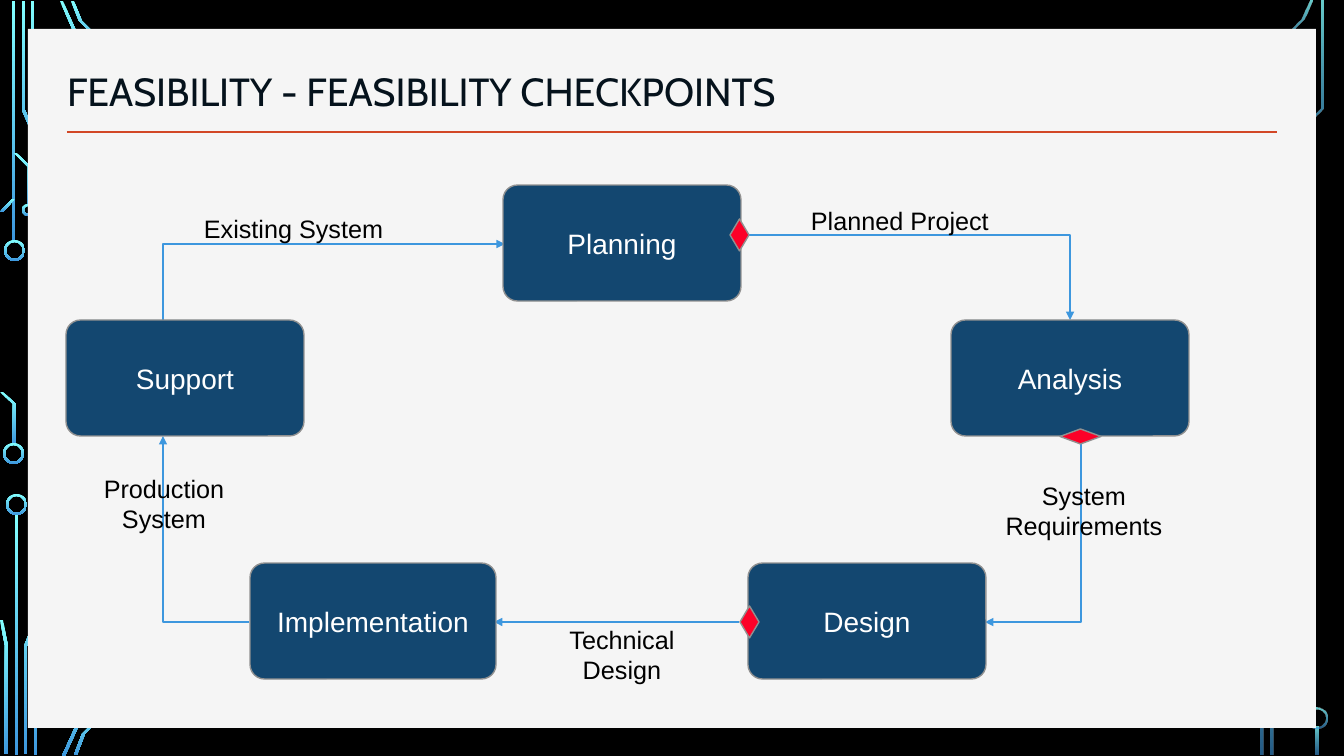
from dataclasses import dataclass

from lxml import etree
from pptx import Presentation
from pptx import util as u
from pptx.dml.color import RGBColor
from pptx.enum import shapes, text
from pptx.oxml import ns

SCALE = 914400 / 100.8  # EMU in one pixel
BODY_FONT = "Arial"
COLOURS = {
    "background": "000000", "panel": "F5F5F5", "rule": "D24726", "title": "05121C",
    "trace_top": "82FFFF", "trace_bottom": "3D97DE", "flow": "3D97DE",
    "phase": "134770", "border": "919191", "checkpoint": "FC0128",
    "label": "000000", "phase_text": "FFFFFF",
}
TRACE_WIDTH = 3
FADED_OPACITY = (80, 60)  # percent at the top and at the bottom
KIND = shapes.MSO_SHAPE
ALIGN = text.PP_ALIGN
Point = tuple[int, int]


@dataclass
class Box:
    """A rectangle in pixels."""
    left: int
    top: int
    width: int
    height: int

    def emu(self) -> list[u.Emu]:
        """Return left, top, width and height in EMU."""
        return [px(n) for n in (self.left, self.top, self.width, self.height)]


@dataclass
class Phase:
    """A named step of the life cycle."""
    name: str
    left: int
    top: int
    width: int = 238


@dataclass
class Flow:
    """An arrow between phases and the label beside it."""
    points: list[Point]
    lines: list[str]
    label: Box
    align: ALIGN = ALIGN.CENTER


@dataclass
class Trace:
    """A circuit line, given by its left edge."""
    points: list[Point]
    faded: bool = False


@dataclass
class Ring:
    """A round circuit end."""
    left: int
    top: int
    size: int = 21
    faded: bool = False


TRACES = [
    Trace([(12, 1), (12, 241)]),
    Trace([(22, 1), (22, 110), (60, 200)]),
    Trace([(31, 1), (31, 68), (70, 158)]),
    Trace([(60, 1), (74, 33), (74, 101)]),
    Trace([(71, 1), (79, 21), (116, 58)]),
    Trace([(12, 199), (0, 212)]),
    Trace([(0, 392), (13, 404), (13, 444)]),
    Trace([(14, 153), (28, 167), (28, 204)]),
    Trace([(15, 514), (15, 755)]),
    Trace([(62, 555), (24, 646), (24, 754)]),
    Trace([(0, 620), (5, 646), (5, 754)]),
    Trace([(73, 598), (34, 688), (34, 755)]),
    Trace([(77, 655), (77, 723), (62, 756)]),
    Trace([(118, 698), (82, 734), (74, 755)]),
    Trace([(1309, 1), (1301, 19), (1266, 55)], True),
    Trace([(1302, 628), (1271, 699), (1271, 755)], True),
    Trace([(1321, 1), (1321, 108), (1291, 139), (1291, 170)], True),
    Trace([(1292, 556), (1292, 588), (1261, 618), (1261, 755)], True),
    Trace([(1316, 727), (1316, 755)], True),
]
RINGS = [Ring(4, 240), Ring(3, 443), Ring(6, 494), Ring(22, 204, 12),
         Ring(1306, 708, faded=True)]
PHASES = [
    Phase("Planning", 503, 185), Phase("Support", 66, 320),
    Phase("Implementation", 250, 563, 246), Phase("Design", 748, 563),
    Phase("Analysis", 951, 320),
]
FLOWS = [
    Flow([(249, 622), (163, 622), (163, 436)], ["Production", "System"],
         Box(75, 468, 178, 71)),
    Flow([(739, 622), (494, 622)], ["Technical", "Design"], Box(541, 619, 162, 71)),
    Flow([(1081, 436), (1081, 622), (985, 622)], ["System", "Requirements"],
         Box(995, 475, 178, 71)),
    Flow([(163, 320), (163, 244), (505, 244)], ["Existing System"],
         Box(194, 208, 253, 40), ALIGN.LEFT),
    Flow([(739, 235), (1070, 235), (1070, 320)], ["Planned Project"],
         Box(801, 200, 251, 40), ALIGN.LEFT),
]
CHECKPOINTS = [Box(740, 606, 19, 32), Box(1060, 429, 41, 15), Box(730, 219, 19, 32)]


def px(pixels: int) -> u.Emu:
    """Turn pixels into EMU."""
    return u.Emu(round(pixels * SCALE))


def colour(name: str) -> RGBColor:
    """Look up a named colour."""
    return RGBColor.from_string(COLOURS[name])


def add_solid(slide, kind: KIND, box: Box, fill: str, border: str | None = None):
    """Add a flat preset shape with an optional thin border."""
    shape = slide.shapes.add_shape(kind, *box.emu())
    shape.shadow.inherit = False
    shape.fill.solid()
    shape.fill.fore_color.rgb = colour(fill)
    if border:
        shape.line.color.rgb = colour(border)
        shape.line.width = u.Pt(1)
    else:
        shape.line.fill.background()
    return shape


def add_path(slide, points: list[Point], close: bool):
    """Add a freeform through the points."""
    builder = slide.shapes.build_freeform(*points[0], scale=SCALE)
    builder.add_line_segments(points[1:], close=close)
    shape = builder.convert_to_shape()
    shape.shadow.inherit = False
    return shape


def add_run(paragraph, words: str, size: int, fill: str, font: str = BODY_FONT) -> None:
    """Add one formatted run."""
    run = paragraph.add_run()
    run.text = words
    run.font.size = u.Pt(size)
    run.font.name = font
    run.font.color.rgb = colour(fill)


def paint_circuit(shape, faded: bool) -> None:
    """Fill a circuit part from light at the top to blue at the bottom."""
    shape.shadow.inherit = False
    shape.line.fill.background()
    shape.fill.gradient()
    shape.fill.gradient_angle = 270
    for stop, name in zip(shape.fill.gradient_stops, ("trace_top", "trace_bottom")):
        stop.color.rgb = colour(name)
    if faded:
        stops = shape._element.spPr.iter(ns.qn("a:srgbClr"))
        for element, percent in zip(list(stops), FADED_OPACITY):
            etree.SubElement(element, ns.qn("a:alpha"), val=str(percent * 1000))


def add_circuit(slide) -> None:
    """Draw the circuit lines and rings around the panel."""
    for trace in TRACES:
        right_edge = [(x + TRACE_WIDTH, y) for x, y in reversed(trace.points)]
        paint_circuit(add_path(slide, trace.points + right_edge, True), trace.faded)
    for ring in RINGS:
        box = Box(ring.left, ring.top, ring.size, ring.size)
        shape = slide.shapes.add_shape(KIND.DONUT, *box.emu())
        shape.adjustments[0] = 2 / ring.size
        paint_circuit(shape, ring.faded)


def add_line(slide, start: Point, end: Point, fill: str):
    """Add a straight line without a shadow."""
    line = slide.shapes.add_connector(
        shapes.MSO_CONNECTOR.STRAIGHT, *[px(n) for n in start + end])
    line.line.color.rgb = colour(fill)
    line.line.width = u.Pt(2)
    etree.SubElement(line._element.spPr, ns.qn("a:effectLst"))
    return line


def add_flow(slide, flow: Flow) -> None:
    """Draw a flow arrow and its label."""
    if len(flow.points) == 2:
        arrow = add_line(slide, *flow.points, "flow")
    else:
        arrow = add_path(slide, flow.points, False)
        arrow.fill.background()
        arrow.line.color.rgb = colour("flow")
        arrow.line.width = u.Pt(2)
    outline = arrow._element.spPr.find(ns.qn("a:ln"))
    etree.SubElement(outline, ns.qn("a:tailEnd"), type="triangle")

    frame = slide.shapes.add_textbox(*flow.label.emu()).text_frame
    frame.word_wrap = True
    for index, words in enumerate(flow.lines):
        paragraph = frame.add_paragraph() if index else frame.paragraphs[0]
        paragraph.alignment = flow.align
        add_run(paragraph, words, 18, "label")


def add_phase(slide, phase: Phase) -> None:
    """Draw a phase as a rounded box with its name."""
    box = Box(phase.left, phase.top, phase.width, 116)
    shape = add_solid(slide, KIND.ROUNDED_RECTANGLE, box, "phase", "border")
    shape.adjustments[0] = 0.125
    frame = shape.text_frame
    frame.word_wrap = False
    frame.vertical_anchor = text.MSO_ANCHOR.MIDDLE
    frame.paragraphs[0].alignment = ALIGN.CENTER
    add_run(frame.paragraphs[0], phase.name, 20, "phase_text")


def set_title(slide, words: str) -> None:
    """Place and format the title above the rule."""
    title = slide.shapes.title
    title.left, title.top, title.width, title.height = Box(57, 49, 977, 71).emu()
    frame = title.text_frame
    frame.word_wrap = True
    frame.auto_size = text.MSO_AUTO_SIZE.NONE
    frame.vertical_anchor = text.MSO_ANCHOR.BOTTOM
    paragraph = frame.paragraphs[0]
    paragraph.alignment = ALIGN.LEFT
    paragraph.line_spacing = 0.9
    add_run(paragraph, words, 28, "title", "Cabin")
    slide.shapes._spTree.append(title._element)


presentation = Presentation()
presentation.slide_width, presentation.slide_height = px(1344), px(756)
slide = presentation.slides.add_slide(presentation.slide_layouts[5])
slide.background.fill.solid()
slide.background.fill.fore_color.rgb = colour("background")
add_circuit(slide)
add_solid(slide, KIND.RECTANGLE, Box(28, 29, 1288, 699), "panel")
add_line(slide, (67, 132), (1277, 132), "rule")
set_title(slide, "FEASIBILITY - FEASIBILITY CHECKPOINTS")
for flow in FLOWS:
    add_flow(slide, flow)
for phase in PHASES:
    add_phase(slide, phase)
for checkpoint in CHECKPOINTS:
    add_solid(slide, KIND.DIAMOND, checkpoint, "checkpoint", "border")
presentation.save("out.pptx")
